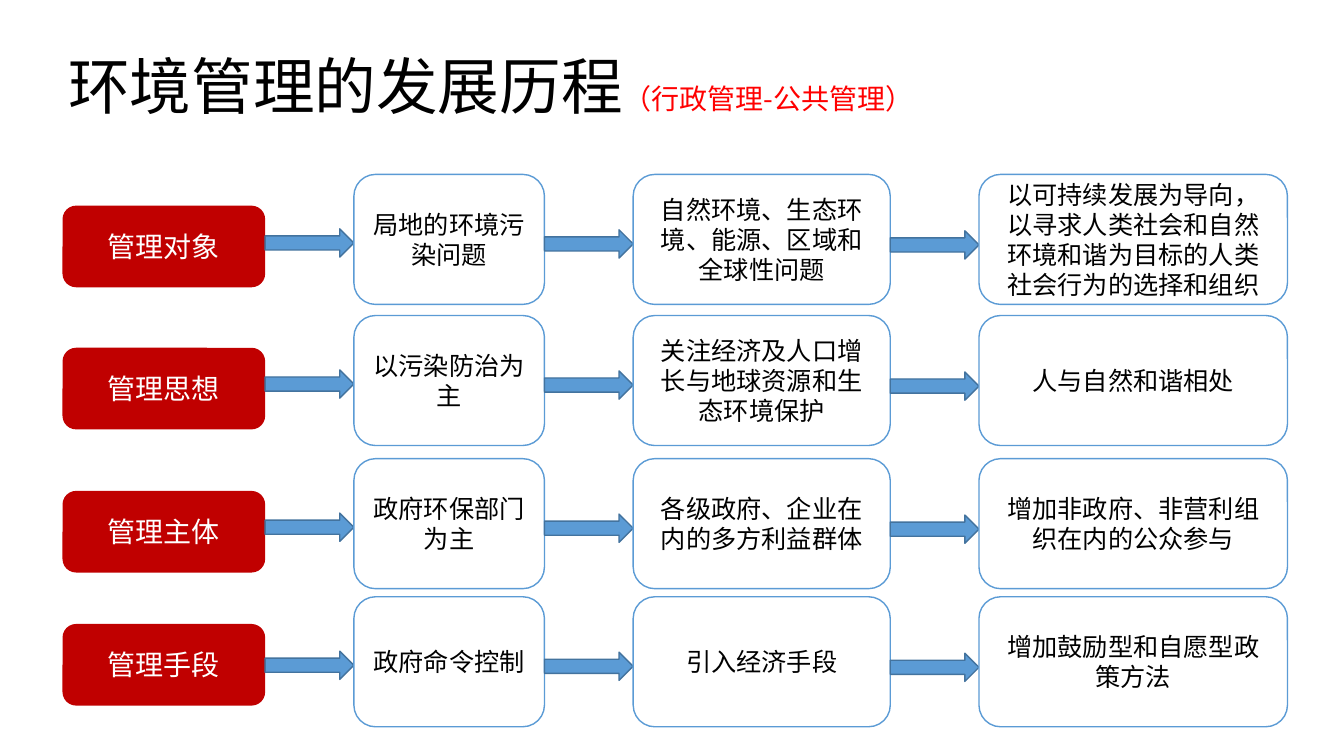
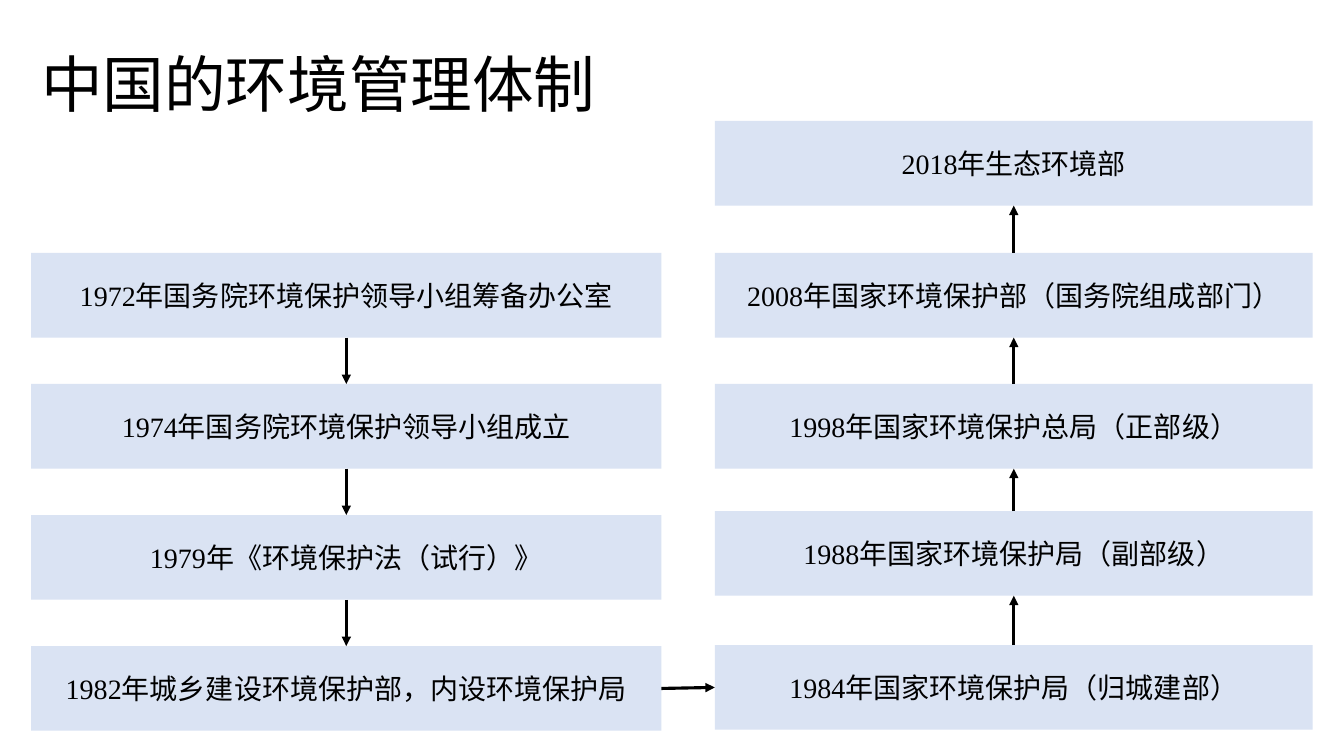
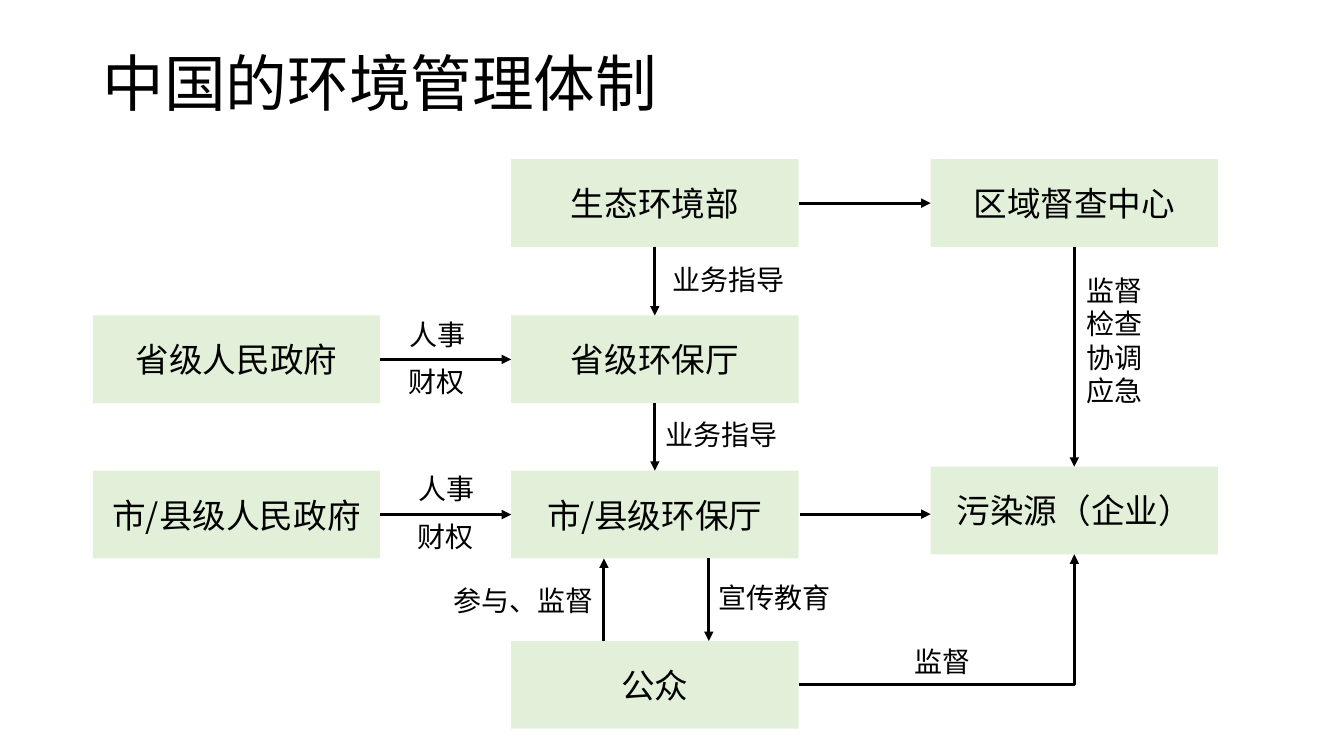
from lxml.etree import SubElement
from pptx import Presentation
from pptx.dml.color import RGBColor
from pptx.enum.shapes import MSO_CONNECTOR, MSO_SHAPE
from pptx.enum.text import MSO_ANCHOR, MSO_AUTO_SIZE, PP_ALIGN
from pptx.oxml.ns import qn
from pptx.util import Inches, Pt

COLORS = {
    "black": "000000", "white": "FFFFFF", "red": "FF0000", "label": "C00000",
    "arrow": "5B9BD5", "arrow_edge": "43739E", "year": "DAE3F3", "agency": "E2F0D9",
}
SANS = "Noto Sans CJK SC"
SERIF = "Times New Roman"
CENTERED = {"alignment": PP_ALIGN.CENTER}
MIDDLE = {"vertical_anchor": MSO_ANCHOR.MIDDLE}
GROWING = {"auto_size": MSO_AUTO_SIZE.SHAPE_TO_FIT_TEXT}
TOP, LEFT, BOTTOM, RIGHT = range(4)


def add_block(slide, kind, at, text="", size=20, color="black", font=SANS,
              fill=None, edge=None, frame_format=MIDDLE, paragraph_format=CENTERED):
    """Add a preset shape, or a text box when kind is None; text is a string
    with one line per paragraph."""
    box = [Inches(length) for length in at]
    if kind is None:
        shape = slide.shapes.add_textbox(*box)
    else:
        shape = slide.shapes.add_shape(kind, *box)
        shape.shadow.inherit = False
        shape.fill.solid()
        shape.fill.fore_color.rgb = RGBColor.from_string(COLORS[fill])
        if edge:
            shape.line.color.rgb = RGBColor.from_string(COLORS[edge])
            shape.line.width = Pt(1)
        else:
            shape.line.fill.background()
    frame = shape.text_frame
    frame.text = text
    frame.word_wrap = True
    for name, value in frame_format.items():
        setattr(frame, name, value)
    for paragraph in frame.paragraphs:
        for name, value in paragraph_format.items():
            setattr(paragraph, name, value)
        for run in paragraph.runs:
            for name, value in {"size": Pt(size), "name": font}.items():
                setattr(run.font, name, value)
            run.font.color.rgb = RGBColor.from_string(COLORS[color])
            SubElement(run.font._element, qn("a:ea"), typeface=SANS)
    return shape


def add_arrow(slide, points=(0, 0, 0, 0), kind=MSO_CONNECTOR.STRAIGHT):
    connector = slide.shapes.add_connector(kind, *[Inches(length) for length in points])
    connector.line.color.rgb = RGBColor.from_string(COLORS["black"])
    connector.line.width = Pt(2.25)
    properties = connector._element.spPr
    SubElement(properties.find(qn("a:ln")), qn("a:tailEnd"), type="triangle")
    SubElement(properties, qn("a:effectLst"))
    return connector


presentation = Presentation()
presentation.slide_width = Inches(13.33)
presentation.slide_height = Inches(7.5)

slides = []
titles = []
for title, left, top in [
    ("环境管理的发展历程", 0.58, 0.16),
    ("中国的环境管理体制", 0.31, 0.14),
    ("中国的环境管理体制", 0.92, 0.13),
]:
    slide = presentation.slides.add_slide(presentation.slide_layouts[6])
    slides.append(slide)
    titles.append(add_block(slide, None, (left, top, 11.5, 1.45), title, size=44,
                            paragraph_format={"line_spacing": 0.9}))
history, timeline, system = slides

# Slide 1: development of environmental management
subtitle = titles[0].text_frame.paragraphs[0].add_run()
subtitle.text = "（行政管理-公共管理）"
for name, value in {"size": Pt(20), "name": SANS}.items():
    setattr(subtitle.font, name, value)
subtitle.font.color.rgb = RGBColor.from_string(COLORS["red"])
SubElement(subtitle.font._element, qn("a:ea"), typeface=SANS)

ARROW_WIDTH = 0.88
STAGE_WIDTHS = [1.89, 2.55, 3.06]
aspects = [
    (1.73, 2.04, "管理对象", [
        "局地的环境污染问题",
        "自然环境、生态环境、能源、区域和全球性问题",
        "以可持续发展为导向，以寻求人类社会和自然环境和谐为目标的人类社会行为的选择和组织",
    ]),
    (3.13, 3.45, "管理思想", [
        "以污染防治为主",
        "关注经济及人口增长与地球资源和生态环境保护",
        "人与自然和谐相处",
    ]),
    (4.55, 4.87, "管理主体", [
        "政府环保部门为主",
        "各级政府、企业在内的多方利益群体",
        "增加非政府、非营利组织在内的公众参与",
    ]),
    (5.92, 6.19, "管理手段", [
        "政府命令控制",
        "引入经济手段",
        "增加鼓励型和自愿型政策方法",
    ]),
]
for top, label_top, label, stages in aspects:
    add_block(history, MSO_SHAPE.ROUNDED_RECTANGLE, (0.62, label_top, 2.01, 0.81), label,
              color="white", fill="label")
    left = 2.63
    for column, (stage, width) in enumerate(zip(stages, STAGE_WIDTHS)):
        arrow_top = top + 0.54 + 0.01 * column
        add_block(history, MSO_SHAPE.RIGHT_ARROW, (left, arrow_top, ARROW_WIDTH, 0.28),
                  fill="arrow", edge="arrow_edge")
        left += ARROW_WIDTH
        add_block(history, MSO_SHAPE.ROUNDED_RECTANGLE, (left, top, width, 1.29), stage,
                  size=18, fill="white", edge="arrow")
        left += width

# Slide 2: down the left column, then up the right one
LEFT_COLUMN = (0.31, 6.25)
RIGHT_COLUMN = (7.09, 5.93)
DOWN, ACROSS, UP = (BOTTOM, TOP), (RIGHT, LEFT), (TOP, BOTTOM)
milestones = [
    ("1972年国务院环境保护领导小组筹备办公室", LEFT_COLUMN, 2.51, None),
    ("1974年国务院环境保护领导小组成立", LEFT_COLUMN, 3.81, DOWN),
    ("1979年《环境保护法（试行）》", LEFT_COLUMN, 5.11, DOWN),
    ("1982年城乡建设环境保护部，内设环境保护局", LEFT_COLUMN, 6.41, DOWN),
    ("1984年国家环境保护局（归城建部）", RIGHT_COLUMN, 6.4, ACROSS),
    ("1988年国家环境保护局（副部级）", RIGHT_COLUMN, 5.07, UP),
    ("1998年国家环境保护总局（正部级）", RIGHT_COLUMN, 3.81, UP),
    ("2008年国家环境保护部（国务院组成部门）", RIGHT_COLUMN, 2.51, UP),
    ("2018年生态环境部", RIGHT_COLUMN, 1.2, UP),
]
previous = None
for text, (left, width), top, direction in milestones:
    milestone = add_block(timeline, MSO_SHAPE.RECTANGLE, (left, top, width, 0.84), text,
                          font=SERIF, fill="year")
    if previous is not None:
        arrow = add_arrow(timeline)
        arrow.begin_connect(previous, direction[0])
        arrow.end_connect(milestone, direction[1])
    previous = milestone

# Slide 3: agencies and their relations
agencies = {}
for name, left, top in [
    ("生态环境部", 5.07, 1.58),
    ("区域督查中心", 9.23, 1.58),
    ("省级环保厅", 5.07, 3.13),
    ("市/县级环保厅", 5.07, 4.67),
    ("公众", 5.07, 6.36),
    ("污染源（企业）", 9.23, 4.63),
    ("省级人民政府", 0.92, 3.13),
    ("市/县级人民政府", 0.92, 4.67),
]:
    agencies[name] = add_block(system, MSO_SHAPE.RECTANGLE, (left, top, 2.85, 0.87), name,
                               size=24, fill="agency")

for begin, end, direction in [
    ("省级人民政府", "省级环保厅", ACROSS),
    ("市/县级人民政府", "市/县级环保厅", ACROSS),
    ("生态环境部", "区域督查中心", ACROSS),
    ("生态环境部", "省级环保厅", DOWN),
    ("省级环保厅", "市/县级环保厅", DOWN),
    ("区域督查中心", "污染源（企业）", DOWN),
]:
    arrow = add_arrow(system)
    arrow.begin_connect(agencies[begin], direction[0])
    arrow.end_connect(agencies[end], direction[1])

for points in [(7.93, 5.1, 9.23, 5.1), (7.03, 5.54, 7.03, 6.36), (5.99, 6.36, 5.99, 5.54)]:
    add_arrow(system, points)

supervision = add_arrow(system, (7.93, 6.8, 10.66, 5.5), MSO_CONNECTOR.ELBOW)
supervision._element.spPr.find(qn("a:prstGeom")).set("prst", "bentConnector2")
supervision.begin_connect(agencies["公众"], RIGHT)
supervision.end_connect(agencies["污染源（企业）"], BOTTOM)

for text, left, top, width, height in [
    ("人事", 3.96, 3.1, 0.93, 0.44),
    ("财权", 3.95, 3.57, 0.93, 0.44),
    ("人事", 4.05, 4.63, 0.93, 0.44),
    ("财权", 4.04, 5.1, 0.93, 0.44),
    ("业务指导", 6.57, 2.56, 1.55, 0.44),
    ("业务指导", 6.5, 4.09, 1.55, 0.44),
    ("宣传教育", 7.03, 5.71, 1.55, 0.44),
    ("参与、监督", 4.4, 5.74, 1.73, 0.44),
    ("监督\n检查\n协调\n应急", 10.68, 2.66, 0.93, 1.78),
    ("监督", 8.97, 6.34, 0.93, 0.44),
]:
    add_block(system, None, (left, top, width, height), text,
              frame_format=GROWING, paragraph_format={})

presentation.save("out.pptx")
